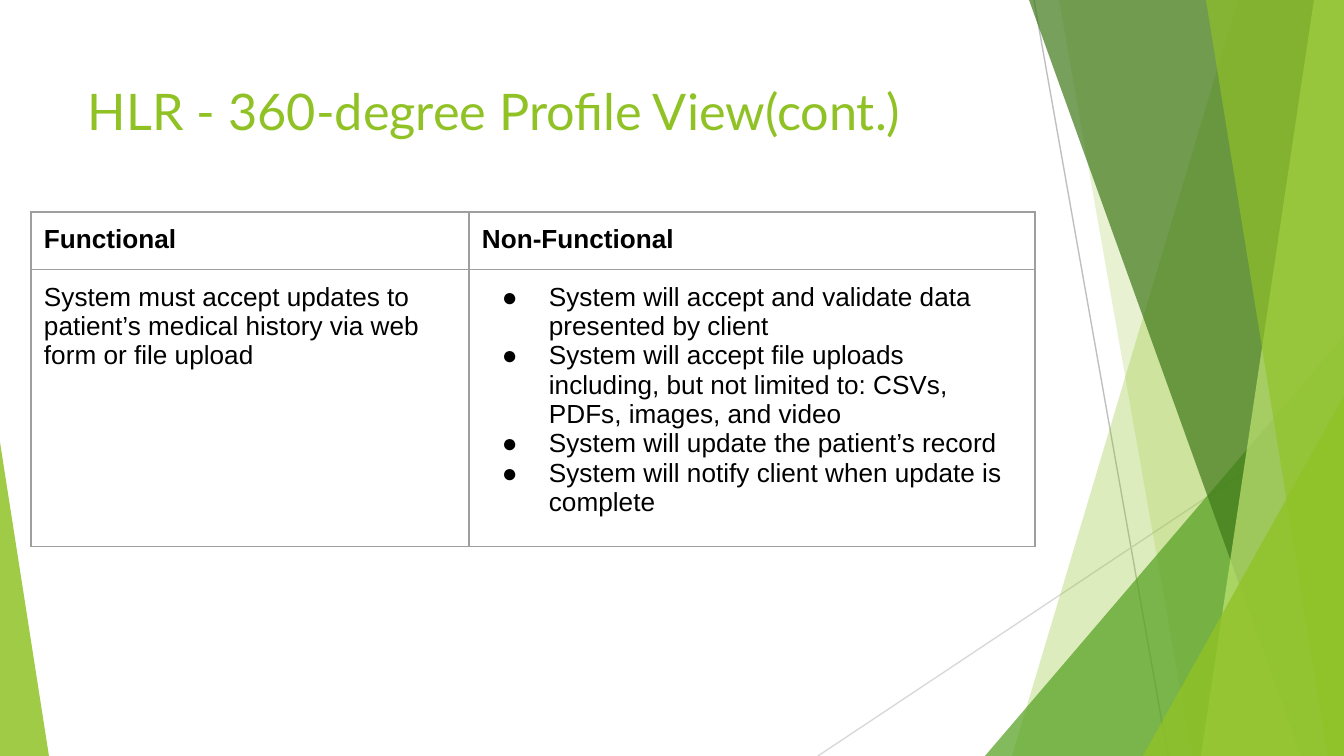
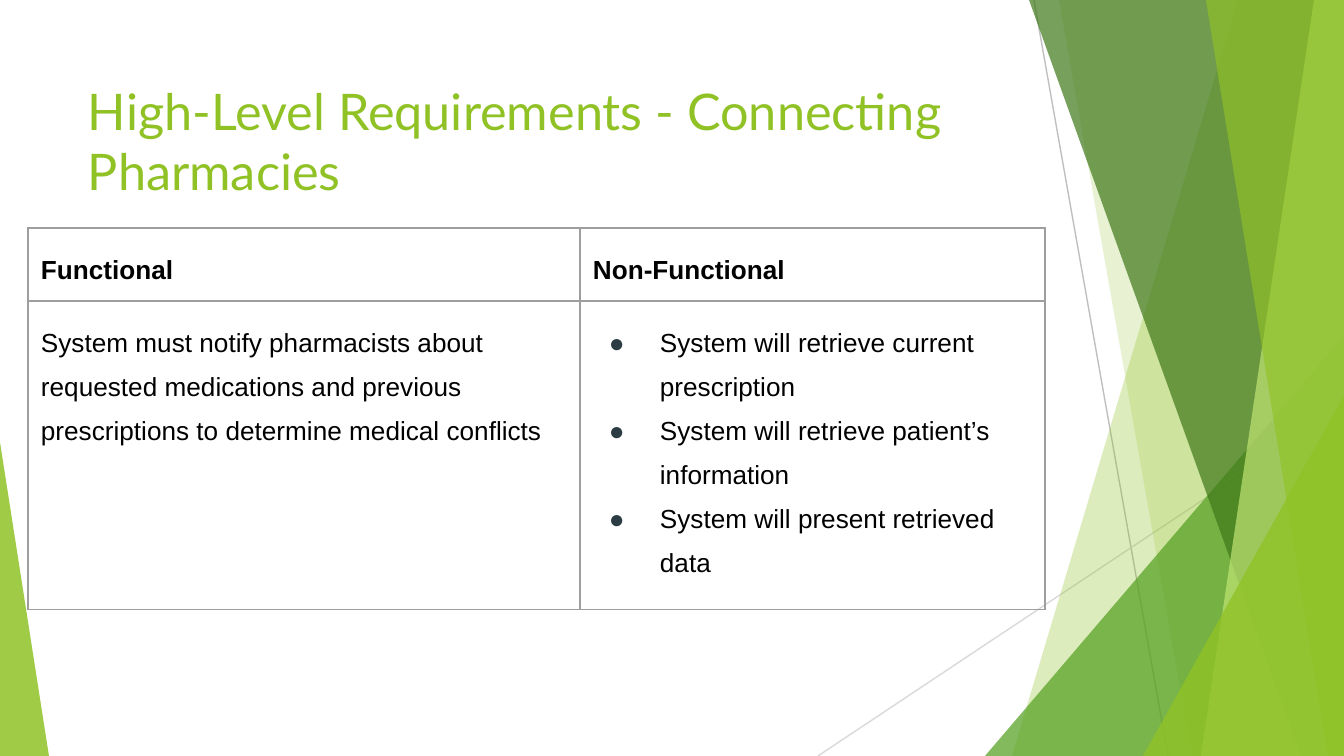
import lxml.etree
import pptx
import pptx.dml.color
import pptx.enum.shapes
import pptx.enum.text
import pptx.oxml.ns
import pptx.util

RGBColor = pptx.dml.color.RGBColor
WHITE = RGBColor(0xFF, 0xFF, 0xFF)
BLACK = RGBColor(0x00, 0x00, 0x00)
SLATE = RGBColor(0x2C, 0x3C, 0x43)
LIME = RGBColor(0x90, 0xC2, 0x26)
PALE_LIME = RGBColor(0xC0, 0xE4, 0x74)
GREEN = RGBColor(0x54, 0xA0, 0x21)
DARK_GREEN = RGBColor(0x3F, 0x78, 0x19)
BORDER_GRAY = RGBColor(0x9E, 0x9E, 0x9E)
LINE_GRAY = RGBColor(0xBF, 0xBF, 0xBF)
LIGHT_GRAY = RGBColor(0xD9, 0xD9, 0xD9)

EMU_PER_PX = 914400 / 134.4
SLIDE_BOX = (0, 0, 1344, 756)
TITLE_BOX = (75, 67, 948, 145)
INSET = 13
HAIRLINE = pptx.util.Pt(0.75)
TITLE_FONT = "Lato"
BODY_FONT = "Arial"
HEADERS = ("Functional", "Non-Functional")


def px(length):
    return pptx.util.Emu(round(length * EMU_PER_PX))


def add_element(parent, tag, **attributes):
    return lxml.etree.SubElement(parent, pptx.oxml.ns.qn(tag), attributes)


def add_line(slide, start, end, color):
    connector = slide.shapes.add_connector(
        pptx.enum.shapes.MSO_CONNECTOR.STRAIGHT, *map(px, start + end))
    connector.line.color.rgb = color
    connector.line.width = HAIRLINE
    add_element(connector._element.spPr, "a:effectLst")


def paint(shape, color, opacity):
    shape.shadow.inherit = False
    shape.line.fill.background()
    shape.fill.solid()
    shape.fill.fore_color.rgb = color
    color_element = shape._element.spPr.find(".//" + pptx.oxml.ns.qn("a:srgbClr"))
    add_element(color_element, "a:alpha", val=str(opacity * 1000))


def add_band(slide, box, top_x, bottom_x, color, opacity):
    left, top, width, height = box
    right, bottom = left + width, top + height
    builder = slide.shapes.build_freeform(left + top_x, top, EMU_PER_PX)
    builder.add_line_segments(
        [(right, top), (right, bottom), (left + bottom_x, bottom)], close=True)
    paint(builder.convert_to_shape(), color, opacity)


def add_triangle(slide, box, apex, color, opacity):
    triangle = slide.shapes.add_shape(
        pptx.enum.shapes.MSO_SHAPE.ISOSCELES_TRIANGLE, *map(px, box))
    triangle.adjustments[0] = apex
    paint(triangle, color, opacity)


def add_facets(slide, box):
    left, top, width, height = box
    right, bottom = left + width, top + height

    def add_corner(corner_width, corner_height, color, opacity):
        corner = (right - corner_width, bottom - corner_height, corner_width, corner_height)
        add_triangle(slide, corner, 1, color, opacity)

    add_line(slide, (left + 1034, top), (left + 1168, bottom), LINE_GRAY)
    add_line(slide, (right, top + 406), (left + 818, bottom), LIGHT_GRAY)
    add_band(slide, box, 1238, 1012, LIME, 30)
    add_band(slide, box, 1059, 1192, LIME, 20)
    add_corner(359, 420, GREEN, 72)
    add_band(slide, box, 1029, 1301, DARK_GREEN, 70)
    add_band(slide, box, 1314, 1201, PALE_LIME, 70)
    add_band(slide, box, 1206, 1328, LIME, 65)
    add_corner(201, 360, LIME, 80)
    add_triangle(slide, (left, bottom - 314, 49, 314), 0, LIME, 85)


def set_font(paragraph, name, size, color, bold=False):
    font = paragraph.font
    font.name = name
    font.size = pptx.util.Pt(size)
    font.color.rgb = color
    font.bold = bold


def set_insets(holder):
    holder.margin_left = holder.margin_right = px(INSET)
    holder.margin_top = holder.margin_bottom = px(INSET)


def add_title(slide, box, text):
    frame = slide.shapes.add_textbox(*map(px, box)).text_frame
    frame.word_wrap = True
    frame.vertical_anchor = pptx.enum.text.MSO_ANCHOR.TOP
    set_insets(frame)
    paragraph = frame.paragraphs[0]
    paragraph.text = text
    set_font(paragraph, TITLE_FONT, 27, LIME)


def add_bullet(paragraph, hanging, color):
    properties = paragraph._p.get_or_add_pPr()
    properties.set("marL", str(px(67)))
    properties.set("indent", str(-px(hanging)))
    bullet_color = add_element(properties, "a:buClr")
    add_element(bullet_color, "a:srgbClr", val=str(color))
    add_element(properties, "a:buFont", typeface=BODY_FONT)
    add_element(properties, "a:buChar", char="●")


def set_borders(cell):
    properties = cell._tc.get_or_add_tcPr()
    for side in ("L", "R", "T", "B"):
        border = add_element(properties, f"a:ln{side}", w=str(HAIRLINE))
        fill = add_element(border, "a:solidFill")
        add_element(fill, "a:srgbClr", val=str(BORDER_GRAY))


def fill_cell(cell, texts, bold=False, line_spacing=None, bullet=None):
    set_insets(cell)
    set_borders(cell)
    cell.fill.background()
    frame = cell.text_frame
    frame.text = "\n".join(texts)
    for paragraph in frame.paragraphs:
        if bullet:
            add_bullet(paragraph, *bullet)
        if line_spacing:
            paragraph.line_spacing = line_spacing
        set_font(paragraph, BODY_FONT, 14, BLACK, bold)


def add_requirements(slide, position, column_widths, row_heights,
                     functional, non_functional, bullet, line_spacing=None):
    box = (*position, sum(column_widths), sum(row_heights))
    table = slide.shapes.add_table(2, 2, *map(px, box)).table
    table.first_row = table.horz_banding = False
    for column, width in zip(table.columns, column_widths):
        column.width = px(width)
    for row, height in zip(table.rows, row_heights):
        row.height = px(height)
    for index, header in enumerate(HEADERS):
        fill_cell(table.cell(0, index), [header], True, line_spacing)
    fill_cell(table.cell(1, 0), [functional], line_spacing=line_spacing)
    fill_cell(table.cell(1, 1), non_functional, line_spacing=line_spacing, bullet=bullet)


def add_requirements_slide(presentation, title, **requirements):
    slide = presentation.slides.add_slide(presentation.slide_layouts[6])
    slide.background.fill.solid()
    slide.background.fill.fore_color.rgb = WHITE
    add_facets(slide, SLIDE_BOX)
    add_title(slide, TITLE_BOX, title)
    add_requirements(slide, **requirements)


def main():
    presentation = pptx.Presentation()
    presentation.slide_width, presentation.slide_height = map(px, SLIDE_BOX[2:])
    add_requirements_slide(
        presentation,
        "HLR - 360-degree Profile View(cont.)",
        position=(31, 212),
        column_widths=(438, 566),
        row_heights=(57, 262),
        functional="System must accept updates to patient’s medical history "
                   "via web form or file upload",
        non_functional=[
            "System will accept and validate data presented by client",
            "System will accept file uploads including, but not limited to: "
            "CSVs, PDFs, images, and video",
            "System will update the patient’s record",
            "System will notify client when update is complete",
        ],
        bullet=(47, BLACK),
    )
    add_requirements_slide(
        presentation,
        "High-Level Requirements - Connecting Pharmacies",
        position=(28, 228),
        column_widths=(552, 465),
        row_heights=(71, 290),
        functional="System must notify pharmacists about requested medications "
                   "and previous prescriptions to determine medical conflicts",
        non_functional=[
            "System will retrieve current prescription",
            "System will retrieve patient’s information",
            "System will present retrieved data",
        ],
        bullet=(51, SLATE),
        line_spacing=1.5,
    )
    presentation.save("out.pptx")


if __name__ == "__main__":
    main()
